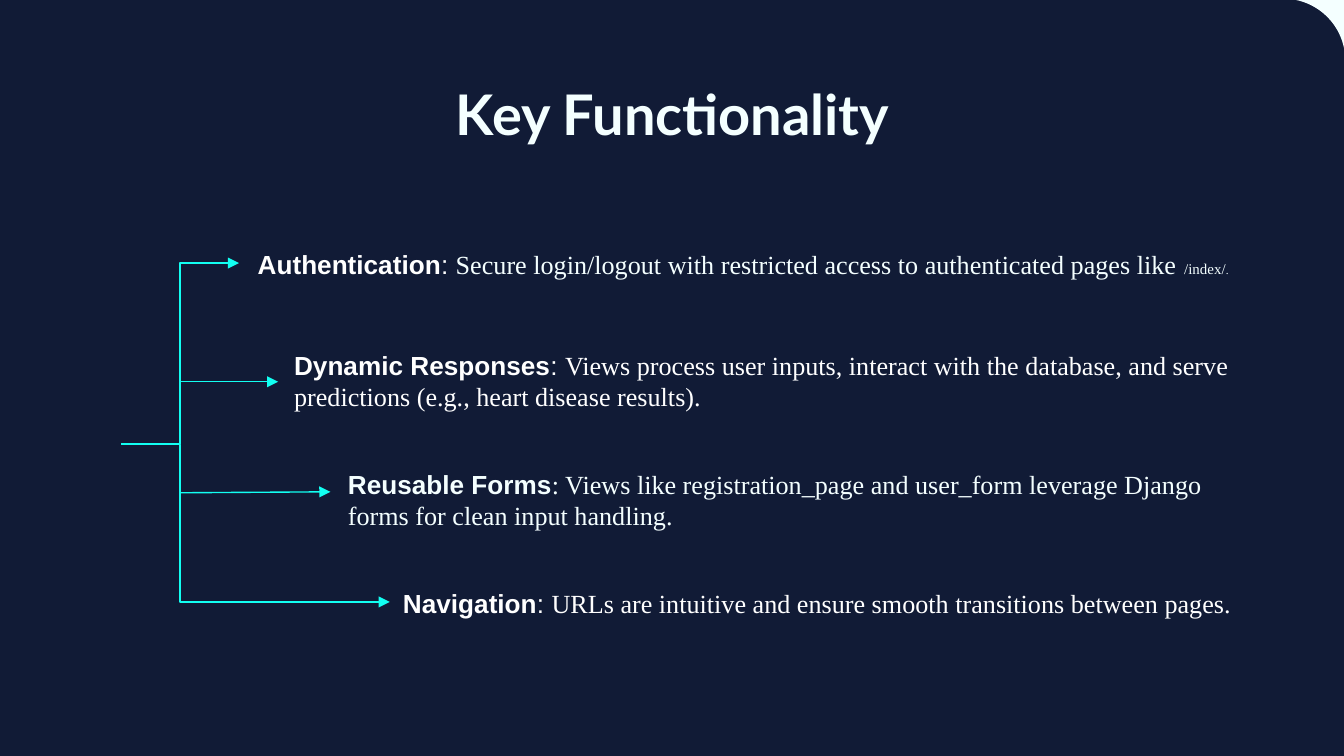
from lxml import etree
from pptx import Presentation
from pptx.dml.color import RGBColor
from pptx.enum.shapes import MSO_CONNECTOR, MSO_SHAPE
from pptx.enum.text import MSO_ANCHOR, MSO_AUTO_SIZE, PP_ALIGN
from pptx.oxml.ns import qn
from pptx.util import Pt

ELBOW, LINE = MSO_CONNECTOR.ELBOW, MSO_CONNECTOR.STRAIGHT
PLAQUE = MSO_SHAPE.PLAQUE
TOP, MIDDLE = MSO_ANCHOR.TOP, MSO_ANCHOR.MIDDLE
GROW, FIXED = MSO_AUTO_SIZE.SHAPE_TO_FIT_TEXT, MSO_AUTO_SIZE.NONE
LEFT, CENTER = PP_ALIGN.LEFT, PP_ALIGN.CENTER
NAVY, MINT, WHITE, CYAN = "111B36", "F4FFFF", "FFFFFF", "12FFF1"
SANS, SERIF, HEAD = "Arial", "Times New Roman", "Lato"
STEM, TRUNK, MID = 65, 96.5, 238


def paint(hue):
    """Turn a hex string into a colour."""
    return RGBColor.from_string(hue)


def style(font, size=None, name=None, hue=None, bold=None):
    """Set the given traits on a font."""
    if size is not None:
        font.size = Pt(size)
    if name is not None:
        font.name = name
    if hue is not None:
        font.color.rgb = paint(hue)
    if bold is not None:
        font.bold = bold


def add_text(slide, area, runs, align=LEFT, anchor=TOP, fit=GROW, wrap=True, inset=3.6):
    """Add a one-paragraph text box; runs are (text, size, font, colour, bold)."""
    frame = slide.shapes.add_textbox(*map(Pt, area)).text_frame
    frame.word_wrap, frame.auto_size, frame.vertical_anchor = wrap, fit, anchor
    frame.margin_top = frame.margin_bottom = Pt(inset)
    para = frame.paragraphs[0]
    para.alignment = align
    traits = list(zip(*(run[1:] for run in runs)))
    same = [len(set(vals)) == 1 for vals in traits]
    style(para.font, *(vals[0] if one else None for vals, one in zip(traits, same)))
    for words, *looks in runs:
        run = para.add_run()
        run.text = words
        style(run.font, *(None if one else look for look, one in zip(looks, same)))


def add_arrow(slide, kind, start, tip):
    """Draw a cyan arrow; an elbow turns at the trunk."""
    wire = slide.shapes.add_connector(kind, *map(Pt, start + tip))
    wire.line.color.rgb = paint(CYAN)
    wire.line.width = Pt(0.75)
    props = wire._element.spPr
    etree.SubElement(props.find(qn("a:ln")), qn("a:tailEnd"), type="triangle")
    etree.SubElement(props, qn("a:effectLst"))
    if kind == ELBOW:
        turn = round(100000 * (TRUNK - start[0]) / (tip[0] - start[0]))
        geom = props.find(qn("a:prstGeom"))
        guides = geom.find(qn("a:avLst"))
        etree.SubElement(guides, qn("a:gd"), name="adj1", fmla=f"val {turn}")


def add_corner(slide):
    """Add the pale plaque at the top right."""
    shape = slide.shapes.add_shape(PLAQUE, Pt(687.6), Pt(-33.8), Pt(66.2), Pt(66.2))
    shape.adjustments[0] = 0.5
    shape.shadow.inherit = False
    shape.fill.solid()
    shape.fill.fore_color.rgb = paint(MINT)
    shape.line.fill.background()


def add_items(slide):
    """Add the four described functions."""
    add_text(slide, (131, 129.6, 540, 24.5), [
        ("Authentication", 14, SANS, WHITE, True),
        (": ", 14, SANS, WHITE, False),
        ("Secure login/logout with restricted access to authenticated pages like ",
         14, SERIF, MINT, False),
        ("/index/", 8, SERIF, MINT, False),
        (".", 6, SERIF, MINT, False)], wrap=False)
    add_text(slide, (150.5, 183.6, 525.6, 41), [
        ("Dynamic Responses", 14, SANS, WHITE, True),
        (": ", 14, SANS, WHITE, False),
        ("Views process user inputs, interact with the database, and serve "
         "predictions (e.g., heart disease results).", 14, SERIF, WHITE, False)])
    add_text(slide, (179.3, 247, 483.8, 41), [
        ("Reusable Forms", 14, SANS, MINT, True),
        (": Views like registration_page and user_form leverage Django forms "
         "for clean input handling.", 14, SERIF, MINT, False)], anchor=MIDDLE)
    add_text(slide, (208.8, 311, 459.4, 24.5), [
        ("Navigation", 14, SANS, WHITE, True),
        (": ", 14, SANS, WHITE, False),
        ("URLs are intuitive and ensure smooth transitions between pages.",
         14, SERIF, WHITE, False)], anchor=MIDDLE)


def main():
    """Build and save the slide."""
    deck = Presentation()
    deck.slide_width, deck.slide_height = Pt(720), Pt(405)
    slide = deck.slides.add_slide(deck.slide_layouts[6])
    slide.background.fill.solid()
    slide.background.fill.fore_color.rgb = paint(NAVY)
    add_corner(slide)
    add_text(slide, (56.9, 35.3, 607, 45.4),
             [("Key Functionality", 30, HEAD, MINT, True)],
             align=CENTER, fit=FIXED, inset=7.2)
    add_arrow(slide, ELBOW, (STEM, MID), (208.8, 322.5))
    add_arrow(slide, ELBOW, (STEM, MID), (128, 141))
    add_arrow(slide, LINE, (TRUNK, 204.5), (149, 204.5))
    add_arrow(slide, LINE, (TRUNK, 264), (177, 263.5))
    add_items(slide)
    deck.save("out.pptx")


if __name__ == "__main__":
    main()
